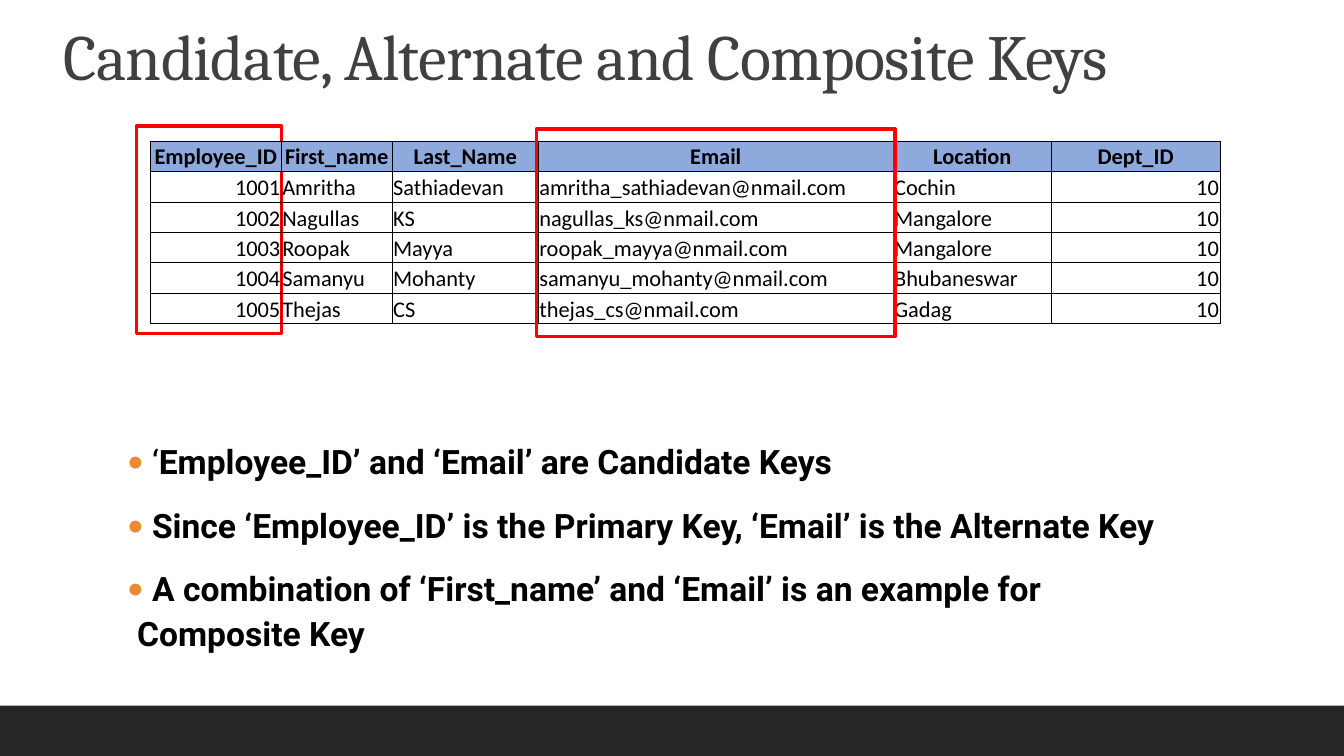
from lxml import etree
from pptx import Presentation
from pptx.dml.color import RGBColor
from pptx.enum.shapes import MSO_SHAPE
from pptx.enum.text import MSO_ANCHOR, MSO_AUTO_SIZE, PP_ALIGN
from pptx.oxml.ns import qn
from pptx.util import Inches, Pt

RECTANGLE = MSO_SHAPE.RECTANGLE
TOP, MIDDLE, BOTTOM = MSO_ANCHOR.TOP, MSO_ANCHOR.MIDDLE, MSO_ANCHOR.BOTTOM
LEFT, CENTER, RIGHT = PP_ALIGN.LEFT, PP_ALIGN.CENTER, PP_ALIGN.RIGHT
FIXED = MSO_AUTO_SIZE.NONE

HEADINGS = ("Employee_ID", "First_name", "Last_Name", "Email", "Location", "Dept_ID")
EMPLOYEES = (
    ("1001", "Amritha", "Sathiadevan", "amritha_sathiadevan@nmail.com", "Cochin", "10"),
    ("1002", "Nagullas", "KS", "nagullas_ks@nmail.com", "Mangalore", "10"),
    ("1003", "Roopak", "Mayya", "roopak_mayya@nmail.com", "Mangalore", "10"),
    ("1004", "Samanyu", "Mohanty", "samanyu_mohanty@nmail.com", "Bhubaneswar", "10"),
    ("1005", "Thejas", "CS", "thejas_cs@nmail.com", "Gadag", "10"),
)
COLUMN_SHARES = (9.75, 8.25, 10.88, 26.4, 11.78, 12.53)
ROW_SHARE = 4.02
KEY_POINTS = (
    ((" ‘", False), ("Employee_ID’ and ‘Email’ are Candidate Keys", True)),
    ((" Since ‘Employee_ID’ is the Primary Key, ‘Email’ is the Alternate Key", True),),
    ((" A combination of ‘First_name’ and ‘Email’ is an example for Composite Key", True),),
)


def colour(code):
    return RGBColor.from_string(code)


def write(paragraph, text, font, size, ink="000000", bold=False, align=LEFT, tracking=0):
    paragraph.alignment = align
    run = paragraph.add_run()
    run.text = text
    run.font.name, run.font.size, run.font.bold = font, Pt(size), bold
    run.font.color.rgb = colour(ink)
    if tracking:
        run.font._element.set("spc", str(round(tracking * 100)))


class KeysSlide:
    """Slide builder whose lengths are percentages of the slide's size."""

    heading_font, table_font, body_font = "Cambria", "Calibri", "Roboto"
    ink, title_ink, band, header = "000000", "404040", "262626", "8EA9DB"
    highlight, bullet = "FF0000", "E88B33"

    def __init__(self, deck):
        self.deck = deck
        self.slide = deck.slides.add_slide(deck.slide_layouts[1])

    def across(self, share):
        return round(self.deck.slide_width * share / 100)

    def down(self, share):
        return round(self.deck.slide_height * share / 100)

    def place(self, left, top, width, height):
        return self.across(left), self.down(top), self.across(width), self.down(height)

    def text_area(self, placeholder, area):
        (placeholder.left, placeholder.top,
         placeholder.width, placeholder.height) = self.place(*area)
        frame = placeholder.text_frame
        frame.auto_size, frame.vertical_anchor, frame.word_wrap = FIXED, TOP, True
        return frame

    def title(self, text, *area):
        heading = self.text_area(self.slide.shapes.title, area).paragraphs[0]
        heading.line_spacing = 0.9
        write(heading, text, self.heading_font, 46, self.title_ink, tracking=-0.5)

    def bullets(self, points, *area):
        frame = self.text_area(self.slide.placeholders[1], area)
        for number, point in enumerate(points):
            paragraph = frame.add_paragraph() if number else frame.paragraphs[0]
            paragraph.line_spacing = 1.1
            paragraph.space_before, paragraph.space_after = Pt(12), Pt(2)
            for text, bold in point:
                write(paragraph, text, self.body_font, 24, self.ink, bold)
            properties = paragraph._p.get_or_add_pPr()
            properties.set("marL", str(Inches(0.1)))
            properties.set("indent", str(-Inches(0.1)))
            tint = etree.SubElement(properties, qn("a:buClr"))
            etree.SubElement(tint, qn("a:srgbClr"), val=self.bullet)
            etree.SubElement(properties, qn("a:buFont"), typeface=self.table_font)
            etree.SubElement(properties, qn("a:buChar"), char="•")

    def rectangle(self, *area, fill=None, outline=None):
        shape = self.slide.shapes.add_shape(RECTANGLE, *self.place(*area))
        shape.shadow.inherit = False
        if fill:
            shape.fill.solid()
            shape.fill.fore_color.rgb = colour(fill)
        else:
            shape.fill.background()
        if outline:
            shape.line.color.rgb = colour(outline)
            shape.line.width = Pt(2.25)
        else:
            shape.line.fill.background()

    def borders(self, cell):
        properties = cell._tc.get_or_add_tcPr()
        for side in ("lnL", "lnR", "lnT", "lnB"):
            edge = etree.SubElement(properties, qn(f"a:{side}"), w=str(Pt(0.5)))
            paint = etree.SubElement(edge, qn("a:solidFill"))
            etree.SubElement(paint, qn("a:srgbClr"), val=self.ink)

    def cell(self, cell, text, is_heading):
        self.borders(cell)
        cell.margin_left = cell.margin_right = cell.margin_top = Inches(0.01)
        cell.margin_bottom = 0
        cell.vertical_anchor = MIDDLE if is_heading else BOTTOM
        if is_heading:
            cell.fill.solid()
            cell.fill.fore_color.rgb = colour(self.header)
        else:
            cell.fill.background()
        align = CENTER if is_heading else RIGHT if text.isdigit() else LEFT
        write(cell.text_frame.paragraphs[0], text, self.table_font, 16,
              self.ink, is_heading, align)

    def table(self, records, left, top):
        area = self.place(left, top, sum(COLUMN_SHARES), ROW_SHARE * len(records))
        table = self.slide.shapes.add_table(len(records), len(COLUMN_SHARES), *area).table
        table.first_row = table.horz_banding = False
        for column, share in zip(table.columns, COLUMN_SHARES):
            column.width = self.across(share)
        for number, record in enumerate(records):
            table.rows[number].height = self.down(ROW_SHARE)
            for position, text in enumerate(record):
                self.cell(table.cell(number, position), text, number == 0)


def main():
    deck = Presentation()
    deck.slide_width, deck.slide_height = Inches(13.33), Inches(7.5)
    keys = KeysSlide(deck)
    keys.rectangle(0, 93.33, 100, 6.67, fill=keys.band)
    keys.title("Candidate, Alternate and Composite Keys", 3.98, 2.67, 86.25, 19.33)
    keys.rectangle(10.13, 16.67, 10.8, 27.47, outline=keys.highlight)
    keys.table((HEADINGS, *EMPLOYEES), 11.18, 18.67)
    keys.rectangle(39.9, 17.07, 26.7, 27.47, outline=keys.highlight)
    keys.bullets(KEY_POINTS, 8.7, 57.07, 82.05, 34.8)
    deck.save("out.pptx")


if __name__ == "__main__":
    main()
